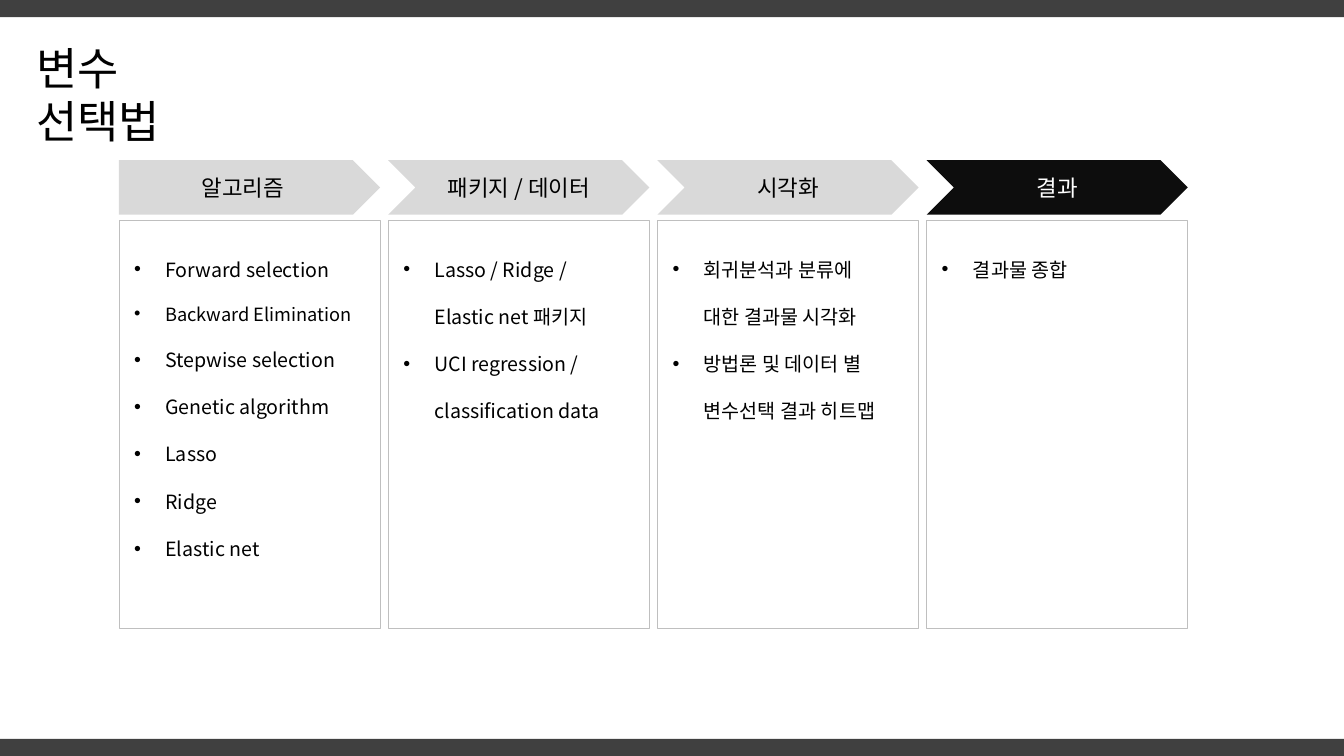
from dataclasses import dataclass

from lxml import etree
from pptx import Presentation
from pptx import util as u
from pptx.dml.color import RGBColor
from pptx.enum import shapes, text
from pptx.oxml.ns import qn

FONT = "Noto Sans CJK KR"
HEX = {"bar": "404040", "edge": "BFBFBF", "gray": "D9D9D9",
       "dark": "0D0D0D", "black": "000000", "white": "FFFFFF"}
KIND = shapes.MSO_SHAPE

# Grid in inches: four equal columns, a head row and a list row
WIDE, HIGH = 13.33, 7.5
LEFT, PITCH, COL = 1.18, 2.67, 2.59
HEAD, HEAD_H = 1.59, 0.54
BOX, BOX_H = 2.19, 4.04
BAR_H = 0.17
HANG = 0.31


@dataclass
class Step:
    name: str
    items: list[str]
    slot: int
    kind: int = KIND.CHEVRON
    fill: str = "gray"
    ink: str = "black"


STEPS = [
    Step("알고리즘", ["Forward selection", "Backward Elimination",
                  "Stepwise selection", "Genetic algorithm",
                  "Lasso", "Ridge", "Elastic net"], 1, KIND.PENTAGON),
    Step("패키지 / 데이터", ["Lasso / Ridge / Elastic net 패키지",
                       "UCI regression / classification data"], 2),
    Step("시각화", ["회귀분석과 분류에 대한 결과물 시각화",
                 "방법론 및 데이터 별\n변수선택 결과 히트맵"], 3),
    Step("결과", ["결과물 종합"], 4, fill="dark", ink="white"),
]
SMALL = {"Backward Elimination": 13}


def tint(key: str) -> RGBColor:
    return RGBColor.from_string(HEX[key])


def place(item, x: float, y: float, w: float, h: float) -> None:
    item.left, item.top = u.Inches(x), u.Inches(y)
    item.width, item.height = u.Inches(w), u.Inches(h)


def style(para, size: float, ink: str = "black") -> None:
    for run in para.runs:
        font = run.font
        font.size, font.bold, font.name = u.Pt(size), False, FONT
        font.color.rgb = tint(ink)
        east = etree.SubElement(run._r.get_or_add_rPr(), qn("a:ea"))
        east.set("typeface", FONT)


def draw(slide, kind: int, x: float, y: float, w: float, h: float,
         fill: str = "", line: str = ""):
    shape = slide.shapes.add_shape(kind, *map(u.Inches, (x, y, w, h)))
    shape.shadow.inherit = False
    if fill:
        shape.fill.solid()
        shape.fill.fore_color.rgb = tint(fill)
    else:
        shape.fill.background()
    if line:
        shape.line.color.rgb = tint(line)
        shape.line.width = u.Pt(0.5)
    else:
        shape.line.fill.background()
    return shape


def setup(frame) -> None:
    frame.word_wrap = True
    frame.auto_size = text.MSO_AUTO_SIZE.NONE
    frame.vertical_anchor = text.MSO_ANCHOR.TOP


def dot(para) -> None:
    props = para._p.get_or_add_pPr()
    props.set("marL", str(u.Inches(HANG)))
    props.set("indent", str(-u.Inches(HANG)))
    etree.SubElement(props, qn("a:buFont")).set("typeface", "Arial")
    etree.SubElement(props, qn("a:buChar")).set("char", "•")


def fill_list(frame, items: list[str]) -> None:
    setup(frame)
    for n, item in enumerate(items):
        para = frame.add_paragraph() if n else frame.paragraphs[0]
        para.text = item
        dot(para)
        para.alignment = text.PP_ALIGN.LEFT
        para.line_spacing = 2.0
        para.space_before = u.Pt(0)
        style(para, SMALL.get(item, 14))


def draw_step(slide, step: Step, x: float) -> None:
    draw(slide, KIND.RECTANGLE, x, BOX, COL, BOX_H, line="edge")
    head = draw(slide, step.kind, x, HEAD, COL, HEAD_H, fill=step.fill)
    frame = head.text_frame
    frame.text = step.name
    frame.vertical_anchor = text.MSO_ANCHOR.MIDDLE
    frame.paragraphs[0].alignment = text.PP_ALIGN.CENTER
    style(frame.paragraphs[0], 16, step.ink)
    body = slide.placeholders[step.slot]
    place(body, x + 0.05, BOX + 0.08, 2.36, 3.37)
    fill_list(body.text_frame, step.items)


def main() -> None:
    deck = Presentation()
    deck.slide_width, deck.slide_height = u.Inches(WIDE), u.Inches(HIGH)
    # The comparison layout offers a title and four bodies
    slide = deck.slides.add_slide(deck.slide_layouts[4])

    # Top and bottom bars
    for y in (0, HIGH - BAR_H):
        draw(slide, KIND.RECTANGLE, 0, y, WIDE, BAR_H, fill="bar")

    # Title
    title = slide.shapes.title
    place(title, 0.26, 0.35, 1.9, 1.17)
    frame = title.text_frame
    frame.text = "변수 선택법"
    setup(frame)
    frame.paragraphs[0].alignment = text.PP_ALIGN.LEFT
    style(frame.paragraphs[0], 32)

    # Steps
    for n, step in enumerate(STEPS):
        draw_step(slide, step, LEFT + n * PITCH)

    deck.save("out.pptx")


if __name__ == "__main__":
    main()
